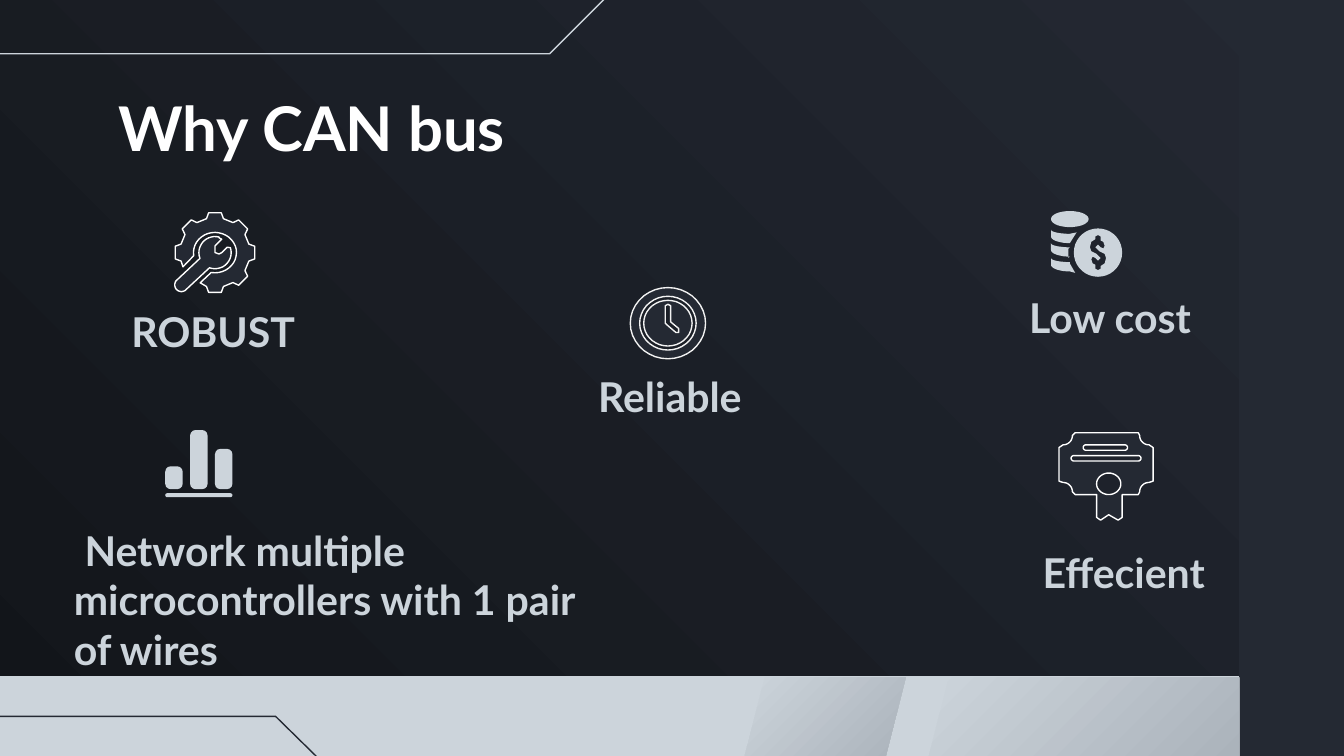
from dataclasses import dataclass
from math import cos, radians, sin

from pptx import Presentation
from pptx.dml.color import RGBColor as RGB
from pptx.enum.shapes import MSO_SHAPE as Shape
from pptx.enum.text import MSO_ANCHOR as Anchor, MSO_AUTO_SIZE as AutoSize, PP_ALIGN as Align
from pptx.oxml.xmlchemy import OxmlElement
from pptx.util import Inches, Pt


@dataclass(frozen=True)
class Theme:
    night: RGB = RGB.from_string("12151A")
    slate: RGB = RGB.from_string("242933")
    silver: RGB = RGB.from_string("CCD4DB")
    steel: RGB = RGB.from_string("ABB3BB")
    white: RGB = RGB.from_string("FFFFFF")
    pearl: RGB = RGB.from_string("F2F2F2")
    font: str = "Lato"
    title_size: Pt = Pt(33)
    label_size: Pt = Pt(22)
    line_width: Pt = Pt(0.75)


THEME = Theme()


def arc(cx, cy, rx, ry, start=0, end=360):
    steps = max(6, round(abs(end - start) / 10))
    angles = [radians(start + (end - start) * i / steps) for i in range(steps + 1)]
    return [(cx + rx * cos(a), cy + ry * sin(a)) for a in angles]


def shift(points, cx, cy):
    return [(cx + x, cy + y) for x, y in points]


def paint(shape, fill=None, line=None):
    shape.shadow.inherit = False
    if fill is None:
        shape.fill.background()
    else:
        shape.fill.solid()
        shape.fill.fore_color.rgb = fill
    if line is None:
        shape.line.fill.background()
    else:
        shape.line.color.rgb = line
        shape.line.width = THEME.line_width


def blend(fill, first, last, angle):
    fill.gradient()
    fill.gradient_angle = angle
    for stop, color in zip(fill.gradient_stops, (first, last)):
        stop.color.rgb = color


def draw(slide, left, top, contours, fill=None, line=None, closed=True):
    scaled = [[(round(x * 1000), round(y * 1000)) for x, y in c] for c in contours]
    builder = slide.shapes.build_freeform(*scaled[0][0], scale=Inches(1) / 1000)
    for index, contour in enumerate(scaled):
        if index:
            builder.move_to(*contour[0])
        builder.add_line_segments(contour[1:], close=closed)
    shape = builder.convert_to_shape(Inches(left), Inches(top))
    paint(shape, fill, line)
    return shape


def write(box, place, text, size, color, anchor=Anchor.BOTTOM, indent=0):
    box.left, box.top, box.width, box.height = map(Inches, place)
    frame = box.text_frame
    frame.word_wrap = True
    frame.auto_size = AutoSize.NONE
    frame.vertical_anchor = anchor
    frame.margin_left = frame.margin_right = Inches(0.1)
    frame.margin_top = frame.margin_bottom = Inches(0.1)
    frame.text = text
    paragraph = frame.paragraphs[0]
    properties = paragraph._p.get_or_add_pPr()
    properties.set("marL", "0")
    properties.set("indent", str(Inches(indent)))
    properties.append(OxmlElement("a:buNone"))
    paragraph.alignment = Align.LEFT
    paragraph.space_before = Pt(0)
    font = paragraph.font
    font.name, font.size, font.bold = THEME.font, size, True
    font.color.rgb = color


def label(slide, place, text, box=None, indent=0):
    box = box or slide.shapes.add_textbox(0, 0, 0, 0)
    write(box, place, text, THEME.label_size, THEME.silver, indent=indent)


def side_strip(slide, left, top, width, height):
    strip = slide.shapes.add_shape(Shape.RECTANGLE, *map(Inches, (left, top, width, height)))
    paint(strip, THEME.slate)


def header_rail(slide, left, top, width, height):
    rail = [(0, height), (4.12, height), (4.54, 0), (width, 0)]
    draw(slide, left, top, [rail], line=THEME.silver, closed=False)


def footer(slide, left, top, width, height):
    band = [(0, 0), (0, height), (width, height), (width, 0)]
    draw(slide, left, top, [band], THEME.silver)
    for start, end, slant in ((5.55, 6.75, 0.15), (6.92, width, 0)):
        facet = [(start + 0.15, 0.01), (start, height), (end - slant, height), (end, 0.01)]
        shape = draw(slide, left, top, [facet], THEME.silver)
        blend(shape.fill, THEME.silver, THEME.steel, 315)
    rail = [(-0.64, 0.3), (2.06, 0.3), (2.56, 0.79), (5.21, 0.79)]
    draw(slide, left, top, [rail], line=THEME.slate, closed=False)


def gear_icon(slide, left, top, width, height):
    cx, cy = width / 2, height / 2

    def polar(radius, angle):
        return radius * cos(radians(angle)), radius * sin(radians(angle))

    teeth = [
        polar(radius, angle + turn)
        for angle in range(90, -181, -45)
        for radius, turn in ((0.26, 14), (0.3, 9), (0.3, -9), (0.26, -14))
    ]
    gear = arc(0, 0, 0.16, 0.15, 171, 460) + [polar(0.25, 116)] + teeth + [polar(0.26, -204)]
    jaw = [(0.09, -0.04), (0.05, 0), (0.03, 0.01), (0, 0),
           (0, -0.05), (0.04, -0.09), (0.05, -0.1), (0.03, -0.11)]
    wrench = (arc(-0.25, 0.24, 0.05, 0.05, 225, 45) + arc(0, 0, 0.12, 0.12, 110, -18)
              + jaw + arc(0, 0, 0.12, 0.12, -75, -201))
    for part in (gear, wrench):
        draw(slide, left, top, [shift(part, cx, cy)], THEME.slate, THEME.white)


def clock_icon(slide, left, top, width, height):
    cx, cy = width / 2, height / 2
    hands = [(-0.02, -0.13), (0, -0.14), (0.02, -0.13), (0.02, -0.01), (0.08, 0.04),
             (0.08, 0.07), (0.06, 0.07), (-0.01, 0.01), (-0.02, 0)]
    dial = [shift(hands, cx, cy), arc(cx, cy, 0.18, 0.17)]
    rim = [arc(cx, cy, 0.21, 0.2), arc(cx, cy, cx, cy)]
    for part in (dial, rim):
        draw(slide, left, top, part, THEME.slate, THEME.pearl)


def coins_icon(slide, left, top):
    curl = [(0, -0.13), (0.02, -0.12), (0.02, -0.09), (0.04, -0.08), (0.05, -0.05),
            (0.04, -0.03), (0.02, -0.04), (0, -0.06), (-0.02, -0.04), (-0.01, -0.03),
            (0.01, -0.01), (0.05, 0.01), (0.06, 0.04), (0.05, 0.08), (0.02, 0.1), (0.02, 0.12)]
    dollar = curl + [(-x, -y) for x, y in curl]
    coin = [shift(dollar, 0.36, 0.31), arc(0.36, 0.31, 0.18, 0.18)]
    stack = [[arc(0.15, 0.06, 0.14, 0.06)]]
    for y, edge in ((0.14, [(0.15, 0.1), (0.2, 0.02)]),
                    (0.24, [(0.14, 0.11), (0.14, 0.04)]),
                    (0.35, [(0.19, 0.11), (0.15, 0.04)])):
        lower = arc(0.15, y + 0.05, 0.14, 0.05, 180, 90)
        upper = arc(0.15, y, 0.14, 0.03, 90, 180)
        stack.append([lower + shift(edge, 0, y) + upper])
    for part in [coin] + stack:
        draw(slide, left, top, part, THEME.silver)


def chart_icon(slide, left, top, width, height):
    base = (0, height - 0.03, width, 0.03, 0.5)
    bars = [(0.185 * i, 0.44 - tall, 0.13, tall, 0.31) for i, tall in enumerate((0.17, 0.44, 0.3))]
    for x, y, wide, tall, rounding in [base] + bars:
        place = map(Inches, (left + x, top + y, wide, tall))
        bar = slide.shapes.add_shape(Shape.ROUNDED_RECTANGLE, *place)
        bar.adjustments[0] = rounding
        paint(bar, THEME.silver)


def certificate_icon(slide, left, top, width):
    ribbon = [(0.12, 0.46), (0.28, 0.46), (0.28, 0.63), (0.31, 0.65), (0.37, 0.61),
              (0.44, 0.65), (0.47, 0.63), (0.47, 0.46), (0.59, 0.46)]
    right = width - 0.03
    sheet = ([(0.12, 0)] + arc(0.03, 0.02, 0.07, 0.07, 0, 90) + [(0, 0.11), (0, 0.36)]
             + arc(0.03, 0.44, 0.07, 0.07, 270, 360) + ribbon
             + arc(right, 0.44, 0.07, 0.07, 180, 270) + [(width, 0.36), (width, 0.11)]
             + arc(right, 0.02, 0.07, 0.07, 90, 180) + [(0.59, 0)])
    slots = [arc(start, y, 0.02, 0.02, 90, 270) + arc(end, y, 0.02, 0.02, -90, 90)
             for start, end, y in ((0.2, 0.49, 0.11), (0.11, 0.59, 0.19))]
    seal = arc(0.37, 0.38, 0.09, 0.08)
    draw(slide, left, top, slots + [seal, sheet], THEME.slate, THEME.white)


def main():
    deck = Presentation()
    deck.slide_width = Inches(10)
    deck.slide_height = deck.slide_width * 9 // 16
    slide = deck.slides.add_slide(deck.slide_layouts[3])
    blend(slide.background.fill, THEME.night, THEME.slate, 45)
    title, reliable, network = slide.placeholders[0], slide.placeholders[1], slide.placeholders[2]

    side_strip(slide, 9.22, 0, 0.78, 5.63)
    header_rail(slide, -0.03, -0.02, 9.24, 0.42)
    footer(slide, -0.01, 5.03, 9.23, 0.6)

    write(title, (0.78, 0.57, 8.44, 0.63), "Why CAN bus",
          THEME.title_size, THEME.white, Anchor.TOP)
    label(slide, (4.35, 2.78, 1.56, 0.45), "Reliable", reliable)
    label(slide, (0.45, 3.84, 4.1, 1.27),
          "Network multiple microcontrollers with 1 pair of wires", network, 0.08)
    label(slide, (0.88, 2.3, 1.56, 0.45), "ROBUST")
    label(slide, (7.56, 2.19, 1.56, 0.45), "Low cost")
    label(slide, (7.66, 4.09, 1.56, 0.45), "Effecient")

    gear_icon(slide, 1.3, 1.59, 0.6, 0.58)
    clock_icon(slide, 4.69, 2.14, 0.56, 0.53)
    coins_icon(slide, 7.81, 1.57)
    chart_icon(slide, 1.23, 3.2, 0.5, 0.5)
    certificate_icon(slide, 7.88, 3.22, 0.7)
    deck.save("out.pptx")


if __name__ == "__main__":
    main()
